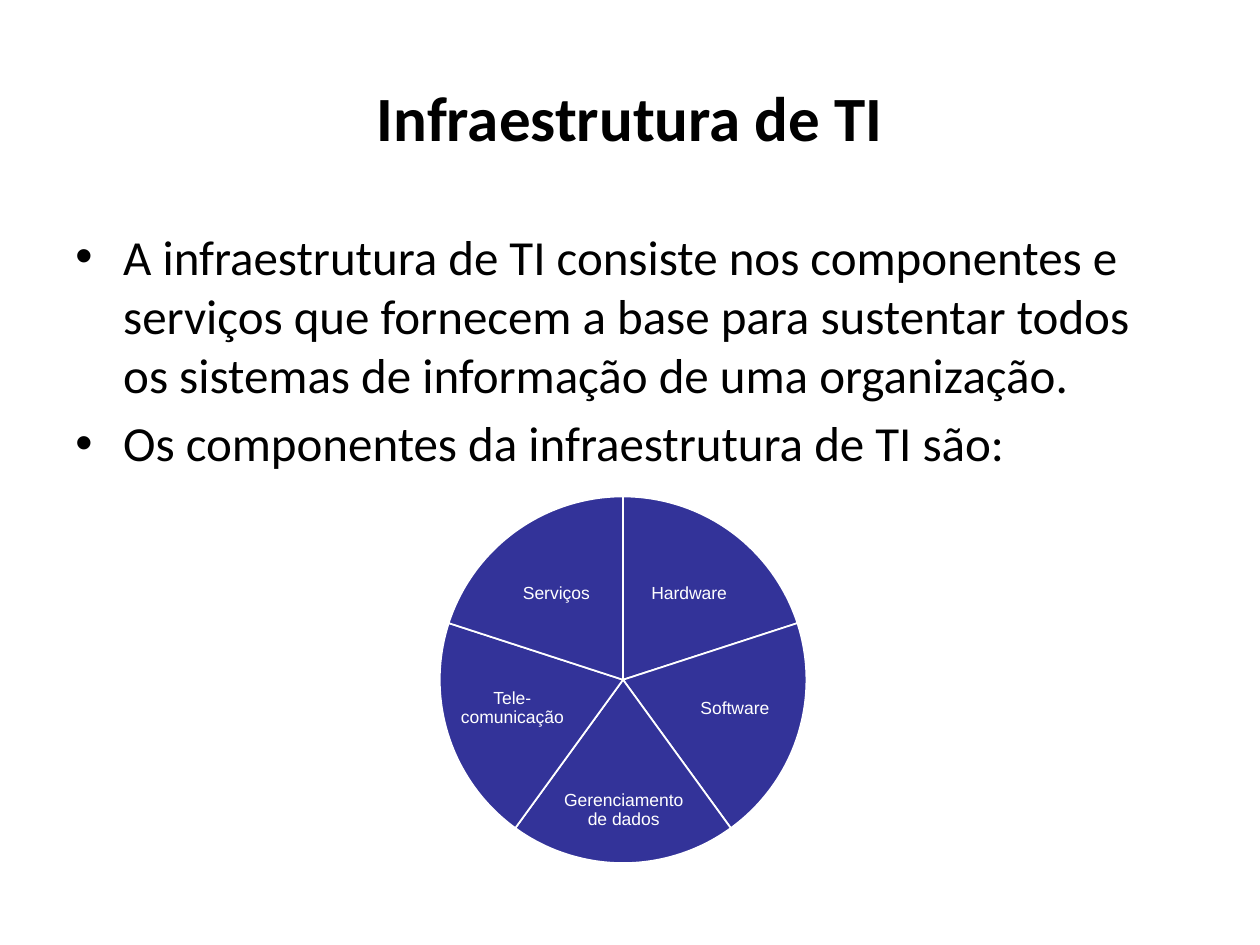
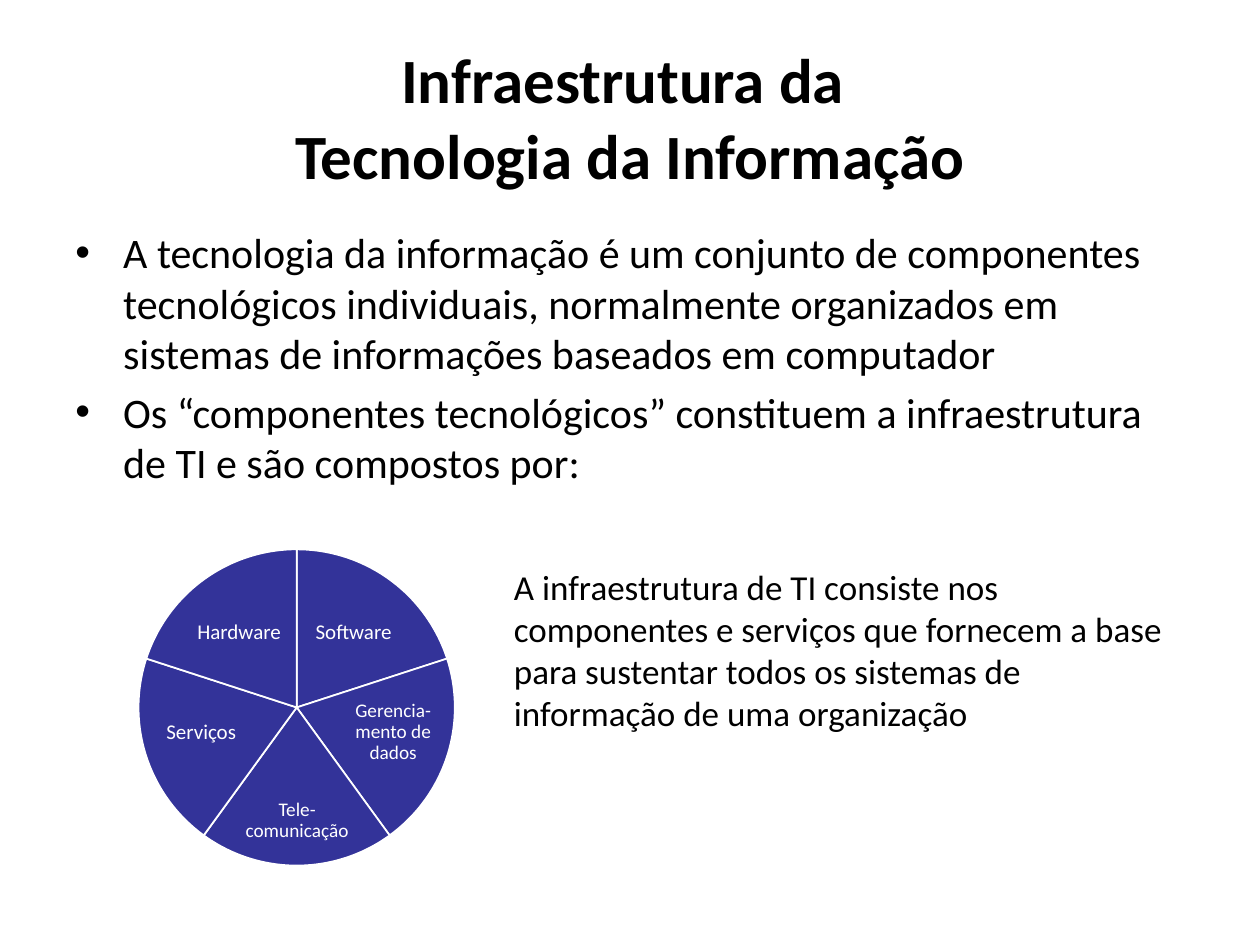
from lxml.etree import SubElement
from pptx import Presentation
from pptx.dml.color import RGBColor
from pptx.enum.shapes import MSO_SHAPE
from pptx.enum.text import MSO_ANCHOR, PP_ALIGN
from pptx.oxml.ns import qn
from pptx.util import Inches, Pt

BLACK = RGBColor(0x00, 0x00, 0x00)
WHITE = RGBColor(0xFF, 0xFF, 0xFF)
INDIGO = RGBColor(0x33, 0x33, 0x99)
HEADING_FONT = "Calibri"

# Boxes are left, top, width, height in inches
TITLE_BOX = (0.5, 0.3, 9, 1.25)
BODY_BOX = (0.5, 1.75, 9, 5.46)

# Label boxes, clockwise from the top, as fractions of the wheel's diameter
LABEL_BOXES = [
    (0.51, 0.15, 0.34, 0.23),
    (0.655, 0.454, 0.3, 0.25),
    (0.323, 0.75, 0.357, 0.214),
    (0.048, 0.454, 0.3, 0.25),
    (0.148, 0.15, 0.34, 0.23),
]
FULL_TURN = 360
TOP_ANGLE = 270
ADJUSTMENT_PER_DEGREE = 0.6


def add_text(shapes, box, paragraphs, size, font=HEADING_FONT, color=BLACK,
             bold=False, align=PP_ALIGN.LEFT, anchor=MSO_ANCHOR.TOP):
    """Add a wrapping text box and return its text frame."""
    frame = shapes.add_textbox(*map(Inches, box)).text_frame
    frame.word_wrap = True
    frame.vertical_anchor = anchor
    frame.text = "\n".join(paragraphs)
    for paragraph in frame.paragraphs:
        paragraph.alignment = align
        for run in paragraph.runs:
            run.font.name = font
            run.font.size = Pt(size)
            run.font.bold = bold
            run.font.color.rgb = color
    return frame


def add_title(slide, title):
    frame = add_text(slide.shapes, TITLE_BOX, [""], 36)
    frame.vertical_anchor = MSO_ANCHOR.MIDDLE
    paragraph = frame.paragraphs[0]
    paragraph.text = title
    paragraph.alignment = PP_ALIGN.CENTER
    for run in paragraph.runs:
        run.font.name = HEADING_FONT
        run.font.size = Pt(36)
        run.font.bold = True
        run.font.color.rgb = BLACK


def add_bullets(slide, points, size):
    frame = add_text(slide.shapes, BODY_BOX, points, size)
    for index, paragraph in enumerate(frame.paragraphs):
        if index:
            paragraph.space_before = Pt(size * 0.2)
        properties = paragraph._p.get_or_add_pPr()
        properties.set("marL", str(Inches(0.38)))
        properties.set("indent", str(-Inches(0.38)))
        SubElement(properties, qn("a:buFont"), typeface="Arial")
        SubElement(properties, qn("a:buChar"), char="•")


def add_wedge(shapes, box, start, end):
    wedge = shapes.add_shape(MSO_SHAPE.PIE, *map(Inches, box))
    wedge.shadow.inherit = False
    wedge.adjustments[0] = start % FULL_TURN * ADJUSTMENT_PER_DEGREE
    wedge.adjustments[1] = end % FULL_TURN * ADJUSTMENT_PER_DEGREE
    wedge.fill.solid()
    wedge.fill.fore_color.rgb = INDIGO
    wedge.line.color.rgb = WHITE
    wedge.line.width = Pt(1)


def add_wheel(slide, left, top, diameter, components, font, inset):
    """Draw equal wedges, each with its (label, size) component."""
    shapes = slide.shapes.add_group_shape().shapes
    sweep = FULL_TURN / len(components)
    for index, ((label, size), fractions) in enumerate(zip(components, LABEL_BOXES)):
        start = TOP_ANGLE + index * sweep
        add_wedge(shapes, (left, top, diameter, diameter), start, start + sweep)

        x, y, width, height = (fraction * diameter for fraction in fractions)
        frame = add_text(shapes, (left + x, top + y, width, height), [label], size,
                         font, WHITE, align=PP_ALIGN.CENTER, anchor=MSO_ANCHOR.MIDDLE)
        frame.margin_left = frame.margin_right = Inches(inset)
        frame.margin_top = frame.margin_bottom = Inches(inset)
        for paragraph in frame.paragraphs:
            paragraph.line_spacing = 0.9


def add_topic_slide(deck, title, points, size):
    slide = deck.slides.add_slide(deck.slide_layouts[6])
    add_title(slide, title)
    add_bullets(slide, points, size)
    return slide


def main():
    deck = Presentation()
    deck.slide_width, deck.slide_height = Inches(10), Inches(7.5)

    # Components of the infrastructure
    infrastructure = add_topic_slide(deck, "Infraestrutura de TI", [
        "A infraestrutura de TI consiste nos componentes e serviços que fornecem "
        "a base para sustentar todos os sistemas de informação de uma organização.",
        "Os componentes da infraestrutura de TI são:",
    ], 28)
    add_wheel(infrastructure, 3.49, 3.94, 2.91, [
        ("Hardware", 10), ("Software", 10), ("Gerenciamento de dados", 10),
        ("Tele-\vcomunicação", 10), ("Serviços", 10),
    ], "Arial", 0.01)

    # Information technology and its definition
    technology = add_topic_slide(
        deck, "Infraestrutura da \vTecnologia da Informação", [
            "A tecnologia da informação é um conjunto de componentes tecnológicos "
            "individuais, normalmente organizados em sistemas de informações "
            "baseados em computador",
            "Os “componentes tecnológicos” constituem a infraestrutura de TI "
            "e são compostos por:",
        ], 24)
    add_wheel(technology, 1.1, 4.36, 2.51, [
        ("Software", 12), ("Gerencia-mento de dados", 11),
        ("Tele-comunicação", 11), ("Serviços", 12), ("Hardware", 12),
    ], "Calibri", 0.02)
    add_text(technology.shapes, (3.98, 4.44, 5.35, 1.45), [
        "A infraestrutura de TI consiste nos componentes e serviços que fornecem "
        "a base para sustentar todos os sistemas de informação de uma organização",
    ], 20)

    deck.save("out.pptx")


if __name__ == "__main__":
    main()
